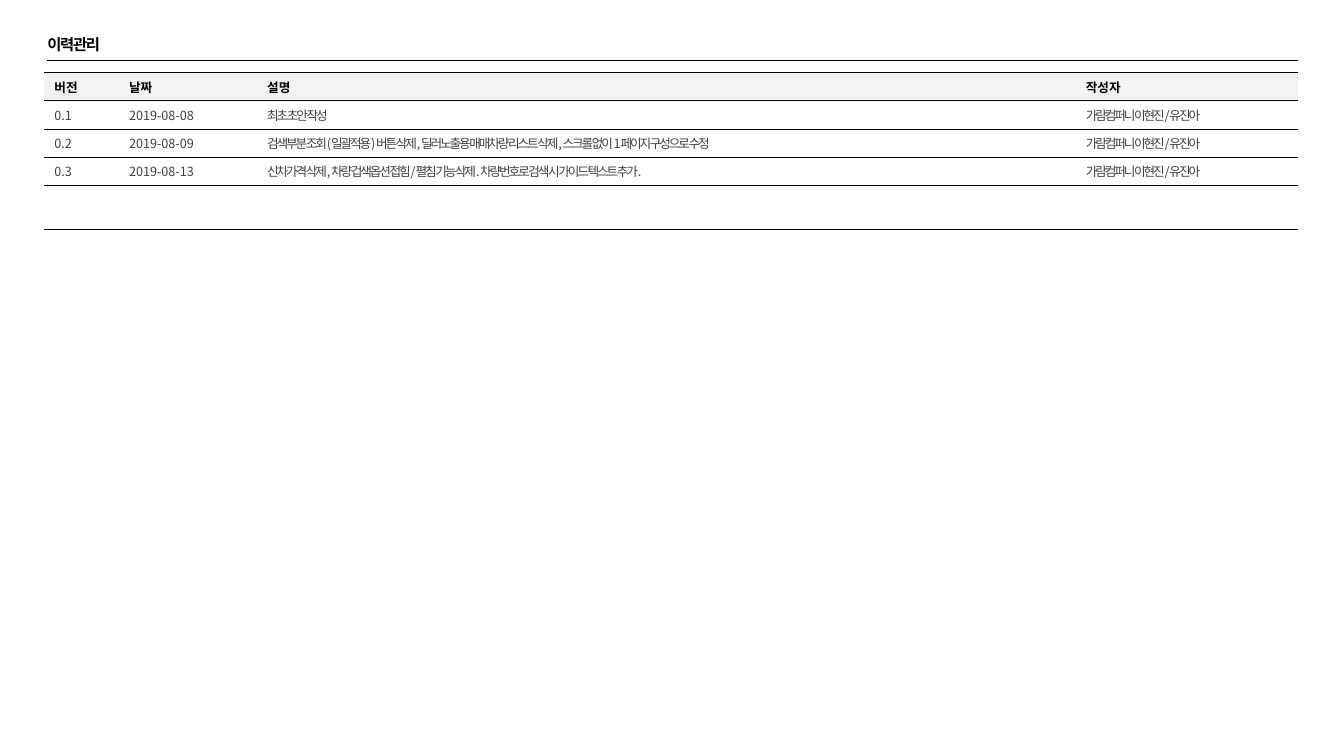
"""Build the revision history slide."""
import dataclasses
import pptx
import pptx.dml.color
import pptx.enum.shapes
import pptx.enum.text
import pptx.oxml.ns
import pptx.util
import lxml.etree

Inches = pptx.util.Inches
Pt = pptx.util.Pt
qn = pptx.oxml.ns.qn


@dataclasses.dataclass
class Theme:
    ink: str = "000000"
    body: str = "404040"
    head: str = "F2F2F2"
    page: str = "FFFFFF"
    title: int = 11
    cell: int = 9
    latin: str = "Arial"
    hangul: str = "Noto Sans CJK KR"
    plain: str = "{2D5ABB26-0587-4C30-8999-92F81FD0307C}"


class Deck:
    def __init__(self, theme):
        self.theme = theme
        self.file = pptx.Presentation()
        self.file.slide_width = Inches(13.33)
        self.file.slide_height = Inches(7.5)
        self.slide = self.file.slides.add_slide(self.file.slide_layouts[6])

    def color(self, code):
        return pptx.dml.color.RGBColor.from_string(code)

    def style(self, para, size, face, code, bold=False, gap=0):
        for run in para.runs:
            font = run.font
            font.size, font.name, font.bold = Pt(size), face, bold
            font.color.rgb = self.color(code)
            props = run._r.get_or_add_rPr()
            if gap:
                props.set("spc", str(int(gap * 100)))
            east = lxml.etree.Element(qn("a:ea"), typeface=self.theme.hangul)
            props.find(qn("a:latin")).addnext(east)

    def rule(self, left, top, right):
        kind = pptx.enum.shapes.MSO_CONNECTOR.STRAIGHT
        line = self.slide.shapes.add_connector(
            kind, Inches(left), Inches(top), Inches(right), Inches(top))
        line.line.color.rgb = self.color(self.theme.ink)
        line.line.width = Pt(0.25)
        lxml.etree.SubElement(line._element.spPr, qn("a:effectLst"))

    def title(self, text, *area):
        frame = self.slide.shapes.add_textbox(*map(Inches, area)).text_frame
        frame.word_wrap = True
        frame.margin_left = frame.margin_right = 0
        frame.margin_top = frame.margin_bottom = 0
        frame.text = text
        para = frame.paragraphs[0]
        para.line_spacing = 0.9
        self.style(para, self.theme.title, self.theme.latin, self.theme.ink, True, -1)

    def border(self, cell, top, bottom):
        props = cell._tc.get_or_add_tcPr()
        sides = [("a:lnT", top), ("a:lnB", bottom)]
        for spot, (tag, width) in enumerate(s for s in sides if s[1]):
            line = lxml.etree.Element(qn(tag), w=str(int(Pt(width))))
            fill = lxml.etree.SubElement(line, qn("a:solidFill"))
            lxml.etree.SubElement(fill, qn("a:srgbClr"), val=self.theme.ink)
            props.insert(spot, line)

    def label(self, cell, text, top, tight, hang):
        theme = self.theme
        cell.vertical_anchor = pptx.enum.text.MSO_ANCHOR.MIDDLE
        cell.text_frame.text = text
        para = cell.text_frame.paragraphs[0]
        if not text:
            lxml.etree.SubElement(para._p, qn("a:endParaRPr"), sz=str(theme.cell * 100))
            return
        if hang:
            props = para._p.get_or_add_pPr()
            props.set("marL", str(int(Inches(0.25))))
            props.set("indent", str(int(Inches(-0.25))))
        self.style(para, theme.cell, theme.hangul, theme.ink if top else theme.body,
                   top, -1.5 if tight else 0)

    def table(self, rows, widths, heights, left, top):
        shape = self.slide.shapes.add_table(
            len(heights), len(widths), Inches(left), Inches(top),
            Inches(sum(widths)), Inches(sum(heights)))
        grid = shape.table
        grid.horz_banding = False
        grid._tbl.tblPr.find(qn("a:tableStyleId")).text = self.theme.plain
        for col, width in zip(grid.columns, widths):
            col.width = Inches(width)
        last = len(rows) - 1
        for y, height in enumerate(heights):
            grid.rows[y].height = Inches(height)
            words = rows[y] if y <= last else [""] * len(widths)
            for x, text in enumerate(words):
                cell = grid.cell(y, x)
                cell.fill.solid()
                cell.fill.fore_color.rgb = self.color(
                    self.theme.page if y else self.theme.head)
                self.label(cell, text, y == 0, y > 0 and x > 1, y > 0 and x in (1, 2))
                if y <= last:
                    self.border(cell, 0.5, 1 if y == last else 0.5)
                elif y == last + 1:
                    self.border(cell, 1, 0)


AUTHOR = "가람컴퍼니 이현진/유진아"
ROWS = [
    ("버전", "날짜", "설명", "작성자"),
    ("0.1", "2019-08-08", "최초 초안 작성", AUTHOR),
    ("0.2", "2019-08-09",
     "검색부분 조회(일괄적용) 버튼 삭제, 딜러노출용 매매차량 리스트 삭제, "
     "스크롤 없이 1페이지 구성으로 수정", AUTHOR),
    ("0.3", "2019-08-13",
     "신차가격 삭제, 차량 겁색옵션 접힘/펼침 기능 삭제. "
     "차량번호로 검색 시 가이드 텍스트 추가.", AUTHOR),
]
WIDTHS = [0.74, 1.37, 8.12, 2.2]
HEIGHTS = [0.28] * 4 + [0.44, 1.7, 0.28, 0.31, 0.28, 0.44, 0.44, 0.28,
                        0.44, 0.44, 0.28, 0.28]

deck = Deck(Theme())
deck.rule(0.47, 0.6, 12.87)
deck.title("이력관리", 0.47, 0.37, 4.05, 0.17)
deck.table(ROWS, WIDTHS, HEIGHTS, 0.44, 0.72)
deck.file.save("out.pptx")
